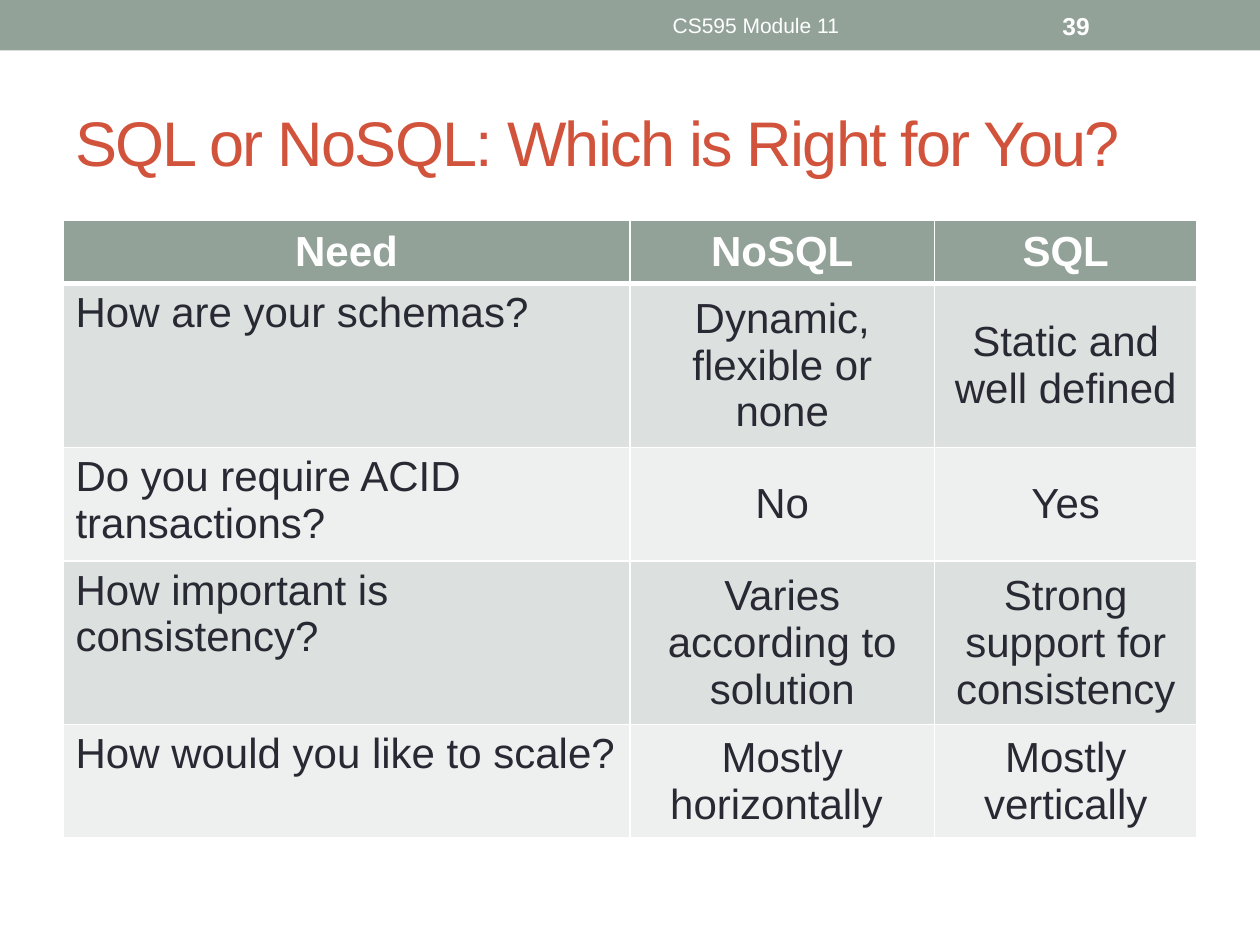
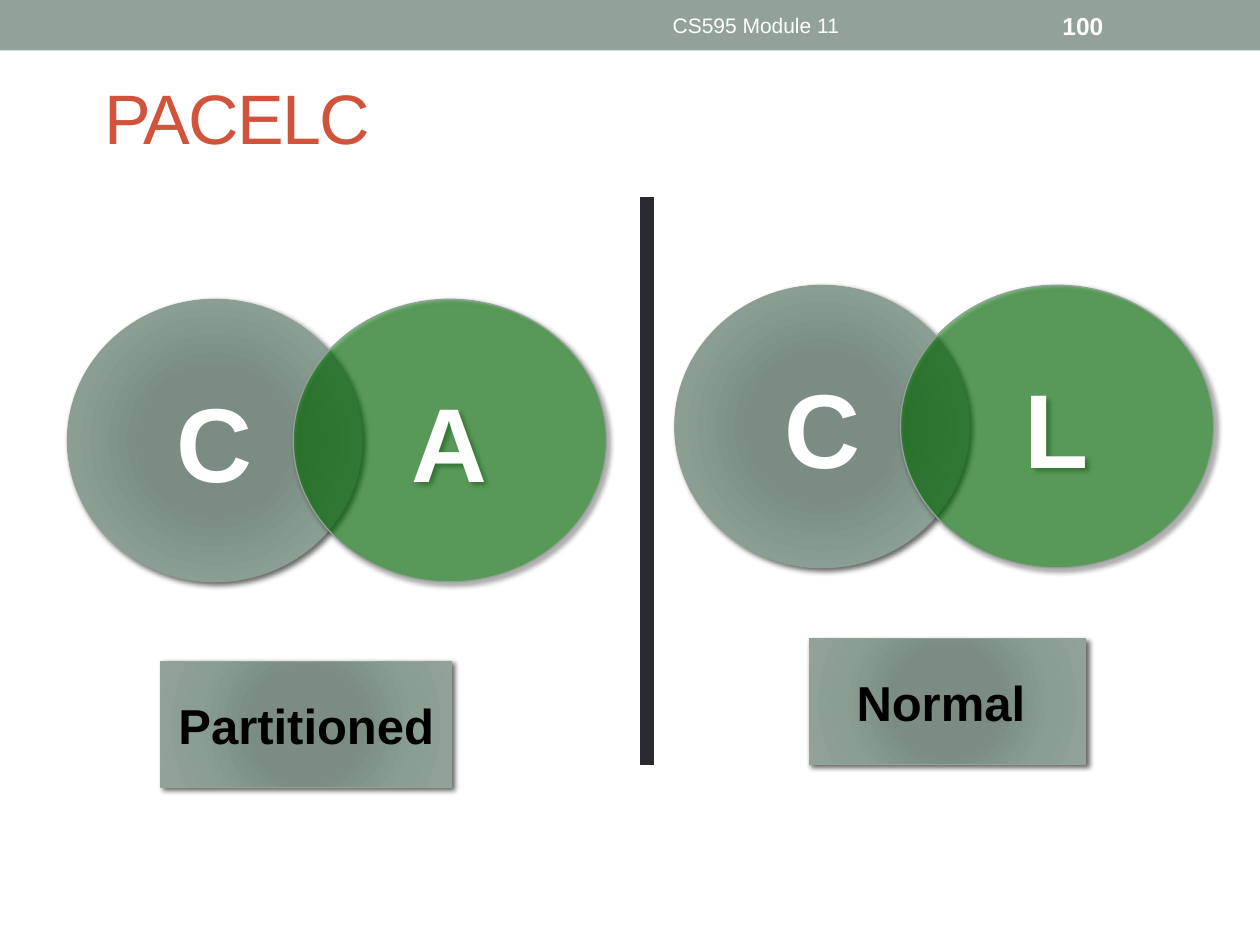
import dataclasses

import pptx
import pptx.dml.color
import pptx.enum.shapes
import pptx.enum.text
import pptx.oxml
import pptx.oxml.ns
import pptx.util

Pt = pptx.util.Pt
qn = pptx.oxml.ns.qn
Align = pptx.enum.text.PP_ALIGN
Anchor = pptx.enum.text.MSO_ANCHOR
Shape = pptx.enum.shapes.MSO_SHAPE
NS = pptx.oxml.ns.nsdecls("a")


@dataclasses.dataclass(frozen=True)
class Theme:
    font: str = "Arial"
    sage: str = "93A299"
    brick: str = "D2533C"
    ink: str = "292934"
    white: str = "FFFFFF"
    black: str = "000000"
    green: str = "008000"
    rim: str = "8F9F96"
    bands: tuple = ("DCE0DE", "EEF0EF")
    glow: tuple = ((0, "7B8E82"), (34, "7B8D83"), (70, "8A9E92"), (100, "93A299"))
    foot: int = 12
    page: int = 14
    cell: int = 24
    label: int = 28
    letter: int = 60


THEME = Theme()

NEEDS = (
    ("Need", "NoSQL", "SQL"),
    ("How are your schemas?", "Dynamic, flexible or none", "Static and well defined"),
    ("Do you require ACID transactions?", "No", "Yes"),
    ("How important is consistency?", "Varies according to\nsolution",
     "Strong support for\nconsistency"),
    ("How would you like to scale?", "Mostly horizontally ", "Mostly vertically"),
)


# Shared helpers
def rgb(code):
    return pptx.dml.color.RGBColor.from_string(code)


def node(xml):
    return pptx.oxml.parse_xml(xml)


def write(frame, text, size, color, bold=False, align=Align.LEFT):
    frame.text = text
    for para in frame.paragraphs:
        para.alignment = align
        for run in para.runs:
            run.font.name = THEME.font
            run.font.size = Pt(size)
            run.font.bold = bold
            run.font.color.rgb = rgb(color)


def place(box):
    return [Pt(side) for side in box]


def add_text(slide, box, text, size, color, **style):
    frame = slide.shapes.add_textbox(*place(box)).text_frame
    frame.word_wrap = True
    frame.vertical_anchor = Anchor.MIDDLE
    write(frame, text, size, color, **style)
    return frame


def fade(fill, alpha):
    """Set the opacity of a solid fill, in percent."""
    tint = fill.find(".//" + qn("a:srgbClr"))
    tint.append(node(f'<a:alpha {NS} val="{alpha * 1000}"/>'))


# Slide frame: band, title, footer and page number
def add_slide(deck, title, box, size, page):
    slide = deck.slides.add_slide(deck.slide_layouts[6])
    band = slide.shapes.add_shape(Shape.RECTANGLE, *place((0, 0, 720, 28.8)))
    band.shadow.inherit = False
    band.fill.solid()
    band.fill.fore_color.rgb = rgb(THEME.sage)
    band.line.fill.background()

    head = add_text(slide, box, title, size, THEME.brick)
    head.paragraphs[0].runs[0].font._element.set("spc", "-100")
    add_text(slide, (270, 1.5, 324, 26), "CS595 Module 11", THEME.foot,
             THEME.white, align=Align.CENTER)
    add_text(slide, (600, 1.5, 84, 26), str(page), THEME.page,
             THEME.white, bold=True)
    return slide


# Table
def edge_cell(cell, head):
    props = cell._tc.get_or_add_tcPr()
    for spot, side in enumerate("LRTB"):
        width = 3 if head and side == "B" else 1
        props.insert(spot, node(
            f'<a:ln{side} {NS} w="{Pt(width)}"><a:solidFill>'
            f'<a:srgbClr val="{THEME.white}"/></a:solidFill></a:ln{side}>'))


def add_grid(slide, rows, left, top, widths, height):
    shape = slide.shapes.add_table(
        len(rows), len(widths), *place((left, top, sum(widths), height * len(rows))))
    grid = shape.table
    for col, width in zip(grid.columns, widths):
        col.width = Pt(width)
    for i, row in enumerate(rows):
        head = i == 0
        for j, text in enumerate(row):
            cell = grid.cell(i, j)
            mid = head or j > 0
            cell.vertical_anchor = Anchor.MIDDLE if mid else Anchor.TOP
            cell.fill.solid()
            cell.fill.fore_color.rgb = rgb(
                THEME.sage if head else THEME.bands[(i - 1) % 2])
            write(cell.text_frame, text, THEME.cell,
                  THEME.white if head else THEME.ink, bold=head,
                  align=Align.CENTER if mid else Align.LEFT)
            edge_cell(cell, head)


# Raised shapes
def add_raised(slide, kind, box, text, size, color, rim=THEME.sage):
    shape = slide.shapes.add_shape(kind, *place(box))
    shape.line.color.rgb = rgb(rim)
    shape.line.width = Pt(0.75)
    shape.shadow.inherit = False
    shape._element.spPr.find(qn("a:effectLst")).append(node(
        f'<a:outerShdw {NS} blurRad="{Pt(3)}" dist="{Pt(2)}" dir="2700000" '
        f'rotWithShape="0"><a:srgbClr val="{THEME.black}">'
        f'<a:alpha val="60000"/></a:srgbClr></a:outerShdw>'))
    shape.text_frame.vertical_anchor = Anchor.MIDDLE
    write(shape.text_frame, text, size, color, bold=True, align=Align.CENTER)
    return shape


def fill_glow(shape):
    stops = "".join(f'<a:gs pos="{spot * 1000}"><a:srgbClr val="{code}"/></a:gs>'
                    for spot, code in THEME.glow)
    shape.fill.background()
    props = shape._element.spPr
    props.replace(props.find(qn("a:noFill")), node(
        f'<a:gradFill {NS} rotWithShape="1"><a:gsLst>{stops}</a:gsLst>'
        '<a:path path="circle"><a:fillToRect l="100000" t="100000" '
        'r="100000" b="100000"/></a:path></a:gradFill>'))


def add_venn(slide, left, top, first, second):
    disc = add_raised(slide, Shape.OVAL, (left, top, 168.5, 161.5), first,
                      THEME.letter, THEME.white, rim=THEME.rim)
    fill_glow(disc)
    fade(disc.line._ln, 50)
    lens = add_raised(slide, Shape.OVAL, (left + 129, top, 179, 161.5), second,
                      THEME.letter, THEME.white)
    lens.fill.solid()
    lens.fill.fore_color.rgb = rgb(THEME.green)
    fade(lens._element.spPr.find(qn("a:solidFill")), 50)


def add_label(slide, box, text):
    fill_glow(add_raised(slide, Shape.RECTANGLE, box, text,
                         THEME.label, THEME.black))


def add_rule(slide, x, top, bottom):
    rule = slide.shapes.add_connector(
        pptx.enum.shapes.MSO_CONNECTOR.STRAIGHT, *place((x, top, x, bottom)))
    rule.line.color.rgb = rgb(THEME.ink)
    rule.line.width = Pt(8)
    rule._element.spPr.append(node(f"<a:effectLst {NS}/>"))


def main():
    deck = pptx.Presentation()
    deck.slide_width, deck.slide_height = Pt(720), Pt(540)

    # Choice of database
    slide = add_slide(deck, "SQL or NoSQL: Which is Right for You?",
                      (36, 42, 648, 78), 36, 39)
    add_grid(slide, NEEDS, 36, 126, (324, 174, 150), 29.5)

    # Trade-offs with and without a partition
    slide = add_slide(deck, "PACELC", (52.5, 21.6, 648, 90), 40, 100)
    add_venn(slide, 38.5, 171, "C", "A")
    add_venn(slide, 385.5, 163, "C", "L")
    add_rule(slide, 370, 112.5, 437)
    add_label(slide, (92, 378, 166, 72), "Partitioned ")
    add_label(slide, (462.5, 365, 158, 72), "Normal ")

    deck.save("out.pptx")


if __name__ == "__main__":
    main()
